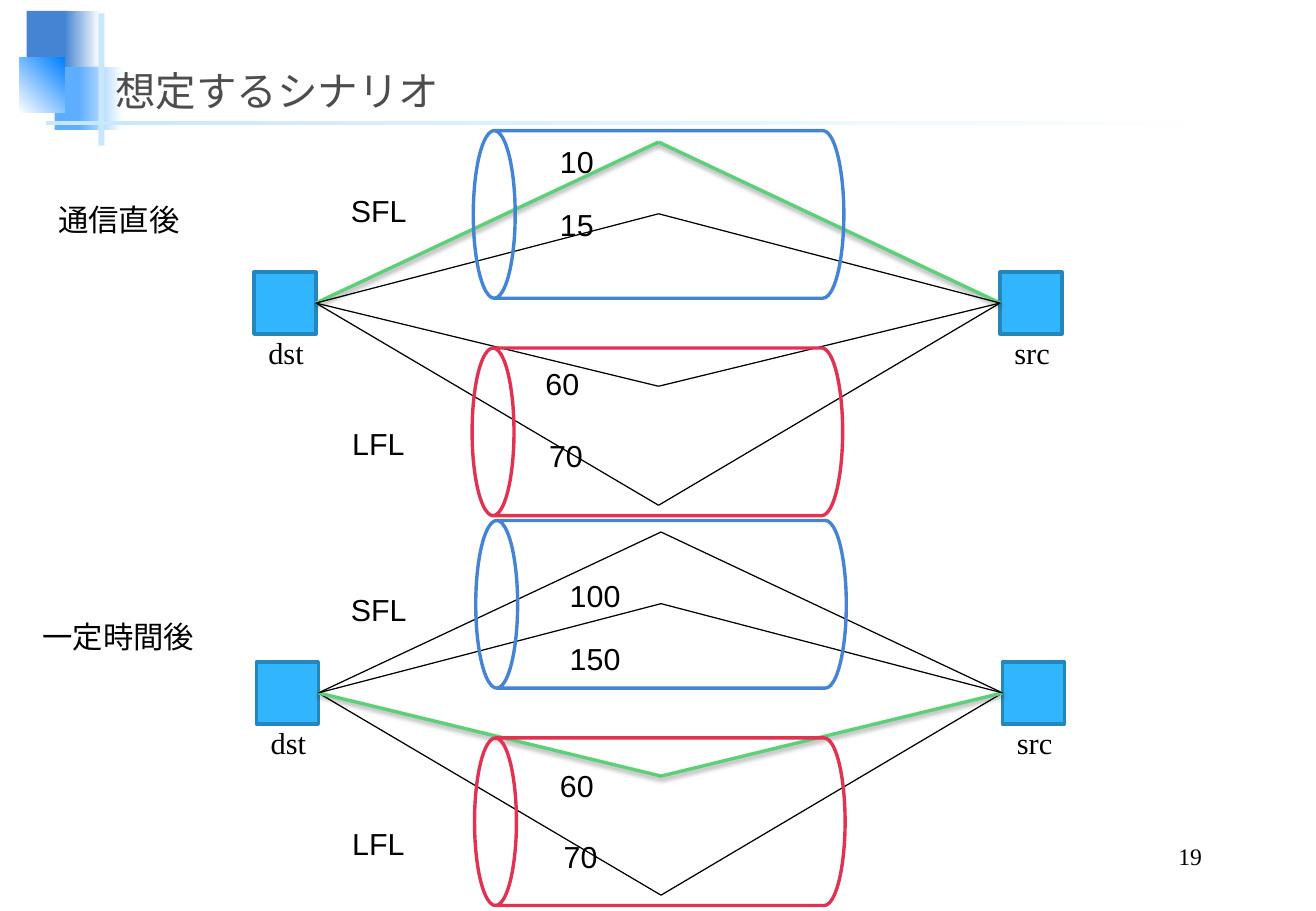
from lxml import etree
from pptx import Presentation
from pptx.dml.color import RGBColor
from pptx.enum.lang import MSO_LANGUAGE_ID
from pptx.enum.shapes import MSO_CONNECTOR, MSO_SHAPE
from pptx.enum.text import MSO_ANCHOR, PP_ALIGN
from pptx.oxml.ns import qn
from pptx.util import Inches, Pt

COLORS = {
    "blue": "4584D3", "sky": "5EAEFF", "azure": "0080FF", "pale": "C6E7FC",
    "white": "FFFFFF", "node": "31B6FD", "node_edge": "2487BB",
    "green": "5BD078", "red": "E03253", "title": "4D4D4D", "black": "000000",
}
SERIF, SANS = "Times New Roman", "Arial"

# left, top, width, height, colours (two make a gradient), gradient angle
DECORATIONS = [
    (0.22, 0.09, 0.35, 0.52, ["blue"], 0),
    (0.53, 0.09, 0.29, 0.52, ["blue", "white"], 0),
    (0.45, 0.55, 0.41, 0.52, ["sky"], 0),
    (0.65, 0.55, 0.36, 0.52, ["sky", "white"], 0),
    (0.16, 0.47, 0.37, 0.46, ["white", "azure"], 45),
    (0.81, 0.11, 0.05, 1.09, ["pale"], 0),
    (0.38, 1.00, 9.75, 0.03, ["pale", "white"], 0),
]

# Each scene: horizontal shift, vertical shift, index of the active route
SCENES = [(0, 0, 0), (0.02, 3.21, 2)]
NODES = [("dst", 2.09), ("src", 8.23)]
NODE_TOP, NODE_SIZE = 2.24, 0.51
ROUTE_MIDDLE = 5.42
ROUTE_TURNS = [1.17, 4.16, 3.18, 1.76]
CYLINDERS = [(4.73, 0.24, "blue"), (4.72, 2.03, "red")]
CYLINDER_SIZE = (1.38, 3.05)

# text, left, top, width
LABELS = [
    ("通信直後", 0.38, 1.61, 1.21), ("一定時間後", 0.25, 5.04, 1.46),
    ("SFL", 2.79, 1.53, 0.66), ("LFL", 2.80, 3.45, 0.64),
    ("SFL", 2.79, 4.82, 0.66), ("LFL", 2.80, 6.74, 0.64),
    ("10", 4.51, 1.13, 0.48), ("15", 4.51, 1.65, 0.48),
    ("60", 4.39, 2.96, 0.48), ("70", 4.42, 3.55, 0.48),
    ("100", 4.59, 4.70, 0.62), ("150", 4.59, 5.22, 0.62),
    ("60", 4.51, 6.27, 0.48), ("70", 4.54, 6.85, 0.48),
]

deck = Presentation()
deck.slide_width, deck.slide_height = Inches(10.83), Inches(7.5)
page = deck.slides.add_slide(deck.slide_layouts[6])


def rgb(name):
    return RGBColor.from_string(COLORS[name])


def add_shape(kind, left, top, width, height, fills=(), angle=0, edge=None):
    shape = page.shapes.add_shape(kind, *map(Inches, (left, top, width, height)))
    shape.shadow.inherit = False
    if len(fills) == 2:
        shape.fill.gradient()
        shape.fill.gradient_angle = angle
        for position, (stop, name) in enumerate(zip(shape.fill.gradient_stops, fills)):
            stop.position = position
            stop.color.rgb = rgb(name)
    elif fills:
        shape.fill.solid()
        shape.fill.fore_color.rgb = rgb(fills[0])
    else:
        shape.fill.background()
    if edge:
        shape.line.color.rgb = rgb(edge)
        shape.line.width = Pt(2)
    else:
        shape.line.fill.background()
    return shape


def add_text(text, left, top, width, height=0.4, font=SANS, size=18, color="black",
             anchor=MSO_ANCHOR.TOP, align=PP_ALIGN.LEFT, wrap=False):
    box = page.shapes.add_textbox(*map(Inches, (left, top, width, height)))
    frame = box.text_frame
    frame.word_wrap = wrap
    frame.vertical_anchor = anchor
    para = frame.paragraphs[0]
    para.alignment = align
    span = para.add_run()
    span.text = text
    span.font.color.rgb = rgb(color)
    formats = {"name": font, "size": Pt(size), "language_id": MSO_LANGUAGE_ID.JAPANESE}
    for key, value in formats.items():
        setattr(span.font, key, value)


def add_segment(start, end, active):
    """Draw one half of a route; the active route is green with a soft shadow."""
    segment = page.shapes.add_connector(MSO_CONNECTOR.STRAIGHT, *map(Inches, start + end))
    segment.line.color.rgb = rgb("green" if active else "black")
    segment.line.width = Pt(2 if active else 0.75)
    effects = etree.SubElement(segment._element.spPr, qn("a:effectLst"))
    if active:
        shadow = etree.SubElement(effects, qn("a:outerShdw"), blurRad=str(Pt(3.1)),
                                  dist=str(Pt(1.6)), dir="5400000", rotWithShape="0")
        tint = etree.SubElement(shadow, qn("a:srgbClr"), val=COLORS["black"])
        etree.SubElement(tint, qn("a:alpha"), val="38000")
    return segment


def add_scene(shift_x, shift_y, active_route):
    top = NODE_TOP + shift_y
    center = top + NODE_SIZE / 2
    lefts = [left + shift_x for _, left in NODES]
    receiver, sender = [
        add_shape(MSO_SHAPE.RECTANGLE, left, top, NODE_SIZE, NODE_SIZE, ["node"], edge="node_edge")
        for left in lefts
    ]
    for index, turn_y in enumerate(ROUTE_TURNS):
        turn = (ROUTE_MIDDLE + shift_x, turn_y + shift_y)
        active = index == active_route
        outward = add_segment((lefts[0] + NODE_SIZE, center), turn, active)
        outward.begin_connect(receiver, 3)
        inward = add_segment(turn, (lefts[1], center), active)
        inward.end_connect(sender, 1)
    for left, cylinder_top, color in CYLINDERS:
        cylinder = add_shape(MSO_SHAPE.CAN, left + shift_x, cylinder_top + shift_y,
                             *CYLINDER_SIZE, edge=color)
        cylinder.rotation = 270
    for (name, _), left in zip(NODES, lefts):
        add_text(name, left + 0.02, top + 0.46, 0.5, font=SERIF)


for left, top, width, height, fills, angle in DECORATIONS:
    add_shape(MSO_SHAPE.RECTANGLE, left, top, width, height, fills, angle)
add_text("想定するシナリオ", 0.85, 0.36, 9.29, 0.63, SERIF, 24, "title",
         MSO_ANCHOR.BOTTOM, wrap=True)
add_text("19", 7.73, 6.9, 2.26, 0.31, SERIF, 14, anchor=MSO_ANCHOR.BOTTOM,
         align=PP_ALIGN.RIGHT, wrap=True)
for scene in SCENES:
    add_scene(*scene)
for label in LABELS:
    add_text(*label)

deck.save("out.pptx")
